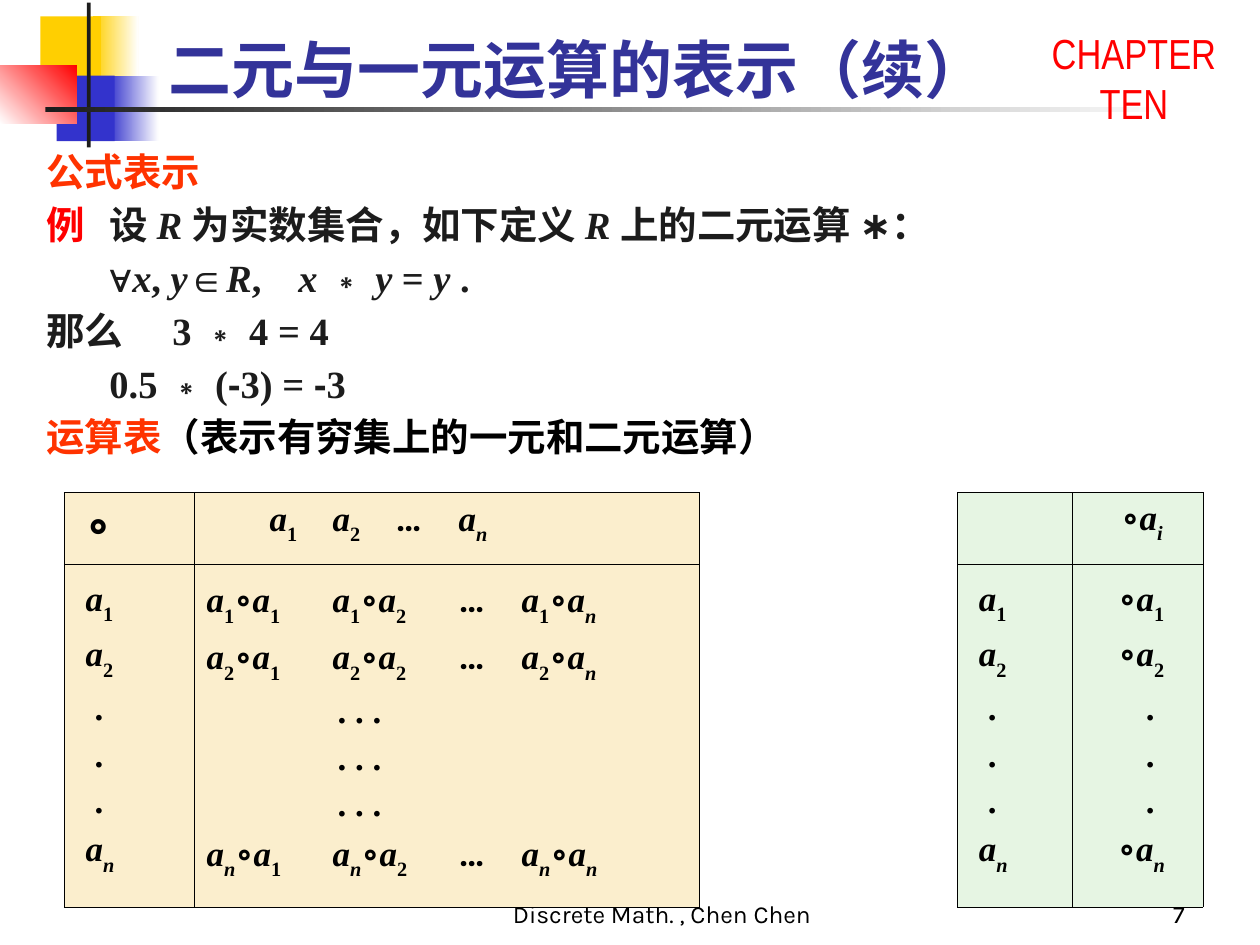
from itertools import groupby

from pptx import Presentation
from pptx.dml.color import RGBColor
from pptx.enum.shapes import MSO_SHAPE
from pptx.enum.text import MSO_ANCHOR, PP_ALIGN
from pptx.oxml.ns import qn
from pptx.util import Inches, Pt
from lxml.etree import SubElement

WHITE = RGBColor(0xFF, 0xFF, 0xFF)
BLACK = RGBColor(0x00, 0x00, 0x00)
INK = RGBColor(0x1C, 0x1C, 0x1C)
YELLOW = RGBColor(0xFF, 0xCF, 0x01)
BLUE = RGBColor(0x33, 0x33, 0xCC)
NAVY = RGBColor(0x33, 0x33, 0x99)
RED = RGBColor(0xFF, 0x00, 0x00)
ORANGE = RGBColor(0xFF, 0x33, 0x00)
CREAM = RGBColor(0xFB, 0xEE, 0xCD)
MINT = RGBColor(0xE6, 0xF5, 0xE3)

SERIF = "Times New Roman"
SYMBOL_FONTS = {"∀": "Arial", "-": "Arial", "…": "Roboto"}


def math_pieces(text):
    """Split text into (italic, subscript, special font) pieces; "_" lowers the next character."""
    marked = []
    lowered = False
    for char in text:
        if char == "_":
            lowered = True
            continue
        italic = char.isascii() and char.isalpha()
        marked.append(((italic, lowered, SYMBOL_FONTS.get(char)), char))
        lowered = False
    for style, group in groupby(marked, key=lambda item: item[0]):
        yield style, "".join(char for _, char in group)


def write(frame, text, *, size=20, font=SERIF, color=BLACK, bold=True, math=True,
          align=PP_ALIGN.LEFT, spacing=None, tabs=(), left=0, first=0, more=False):
    """Write a paragraph, or with more=True continue the last one."""
    para = frame.paragraphs[-1]
    if not more:
        if para.runs:
            para = frame.add_paragraph()
        props = para._p.get_or_add_pPr()
        props.set("marL", str(Inches(left)))
        props.set("indent", str(Inches(first)))
        if tabs:
            stops = SubElement(props, qn("a:tabLst"))
            for stop in tabs:
                SubElement(stops, qn("a:tab"), pos=str(Inches(stop)), algn="l")
        para.alignment = align
        if spacing:
            para.line_spacing = spacing
    pieces = math_pieces(text) if math else [((False, False, None), text)]
    for (italic, lowered, special), piece in pieces:
        span = para.add_run()
        span.text = piece
        span.font.size = Pt(size)
        span.font.name = special or font
        span.font.bold = bold
        span.font.italic = italic
        span.font.color.rgb = color
        if lowered:
            span._r.get_or_add_rPr().set("baseline", "-30000")


def add_text_box(page, box, anchor=MSO_ANCHOR.TOP):
    frame = page.shapes.add_textbox(*map(Inches, box)).text_frame
    frame.word_wrap = True
    frame.vertical_anchor = anchor
    return frame


def add_block(page, box, start, end=None, angle=0):
    """Add a rectangle, shaded from start to end when an end colour is given."""
    block = page.shapes.add_shape(MSO_SHAPE.RECTANGLE, *map(Inches, box))
    block.shadow.inherit = False
    block.line.fill.background()
    if end is None:
        block.fill.solid()
        block.fill.fore_color.rgb = start
        return
    block.fill.gradient()
    block.fill.gradient_angle = angle
    for stop, color in zip(block.fill.gradient_stops, (start, end)):
        stop.color.rgb = color


def add_ornament(page):
    add_block(page, (0.74, 0.13, 0.36, 0.52), YELLOW, WHITE)
    add_block(page, (0.86, 0.6, 0.4, 0.52), BLUE, WHITE)
    add_block(page, (0.32, 0.13, 0.48, 0.52), YELLOW)
    add_block(page, (0.45, 0.6, 0.46, 0.52), BLUE)
    add_block(page, (0, 0.52, 0.61, 0.46), WHITE, RED, angle=45)
    add_block(page, (0.69, 0.02, 0.03, 1.15), INK)
    add_block(page, (0.36, 0.85, 9, 0.04), INK, WHITE)


def add_labels(page):
    write(add_text_box(page, (8, 0.17, 2, 0.9)), "CHAPTER TEN", size=24,
          font="Arial Narrow", color=RED, bold=False, math=False, align=PP_ALIGN.CENTER)
    write(add_text_box(page, (1.24, 0.17, 8.05, 0.74), MSO_ANCHOR.MIDDLE),
          "二元与一元运算的表示（续）", size=36, font="Montserrat", color=NAVY, math=False)
    footers = [((3.67, 6.92, 3.17, 0.5), "Discrete Math. , Chen Chen", PP_ALIGN.CENTER),
               ((7.42, 6.92, 2.08, 0.5), "7", PP_ALIGN.RIGHT)]
    for box, text, align in footers:
        write(add_text_box(page, box, MSO_ANCHOR.BOTTOM), text, size=14, font="Karla",
              bold=False, math=False, align=align)


def add_formulas(page, box):
    frame = add_text_box(page, box)
    lines = [
        ([("公式表示", ORANGE)], ()),
        ([("例", RED), ("\t设 R 为实数集合，如下定义 R 上的二元运算 ∗：", INK)], (0.59,)),
        ([("\t∀x, y∈R,\tx ∗ y = y .", INK)], (1.15, 2.5)),
        ([("那么\t3 ∗ 4 = 4", INK)], (1.24,)),
        ([("\t0.5 ∗ (-3) = -3", INK)], (1.22,)),
        ([("运算表", ORANGE), ("（表示有穷集上的一元和二元运算）", BLACK)], ()),
    ]
    for parts, tabs in lines:
        for index, (text, color) in enumerate(parts):
            write(frame, text, size=22, color=color, spacing=1.15, tabs=tabs, more=index > 0)


def style_cell(cell, color):
    """Fill and outline a cell; with no colour only its sides are drawn."""
    props = cell._tc.get_or_add_tcPr()
    for side in "LRTB":
        line = SubElement(props, qn(f"a:ln{side}"), w=str(Pt(0.45)))
        if color is None and side in "TB":
            SubElement(line, qn("a:noFill"))
        else:
            SubElement(SubElement(line, qn("a:solidFill")), qn("a:srgbClr"), val=str(BLACK))
    if color is None:
        cell.fill.background()
    else:
        cell.fill.solid()
        cell.fill.fore_color.rgb = color


def write_rows(cell, pattern, dots, dots_left, tabs=(), last_tabs=(), **layout):
    """Write the entries for 1, 2, three rows of dots, and n."""
    frame = cell.text_frame
    for index in "12...n":
        if index == ".":
            write(frame, dots, spacing=1.2, **{**layout, "left": dots_left})
        else:
            write(frame, pattern.replace("#", index), spacing=1.2,
                  tabs=last_tabs if index == "n" else tabs, **layout)


def add_operation_tables(page, box):
    widths, heights = (1.03, 4.01, 2.05, 0.91, 1.04), (0.57, 2.72)
    table = page.shapes.add_table(2, 5, *map(Inches, box)).table
    table.first_row = table.horz_banding = False
    for column, width in zip(table.columns, widths):
        column.width = Inches(width)
    for row, height in zip(table.rows, heights):
        row.height = Inches(height)
        for cell, color in zip(row.cells, (CREAM, CREAM, None, MINT, MINT)):
            style_cell(cell, color)
    table.cell(0, 2).merge(table.cell(1, 2))

    write(table.cell(0, 0).text_frame, "∘", size=28, left=0.07)
    write(table.cell(0, 1).text_frame, "\ta_1\ta_2\t…\ta_n", tabs=(0.14, 1.06, 1.85, 2.6))
    write(table.cell(0, 4).text_frame, "∘a_i", left=0.07, align=PP_ALIGN.CENTER)
    for column in (0, 3):
        write_rows(table.cell(1, column), "a_#", ".", 0.14, left=0.07)
    write_rows(table.cell(1, 1), "a_#∘a_1\ta_#∘a_2\t…\ta_#∘a_n", ". . .", 1.04,
               tabs=(0.94, 1.81, 2.35), last_tabs=(0.94, 1.76, 2.3))
    write_rows(table.cell(1, 4), "∘a_#", ".", 0.52, left=0.38, first=-0.32,
               align=PP_ALIGN.CENTER)


def main():
    deck = Presentation()
    deck.slide_width, deck.slide_height = Inches(10), Inches(7.5)
    page = deck.slides.add_slide(deck.slide_layouts[6])
    add_ornament(page)
    add_labels(page)
    add_formulas(page, (0.27, 1.07, 9.45, 2.63))
    add_operation_tables(page, (0.51, 3.91, 9.04, 3.29))
    deck.save("out.pptx")


if __name__ == "__main__":
    main()
